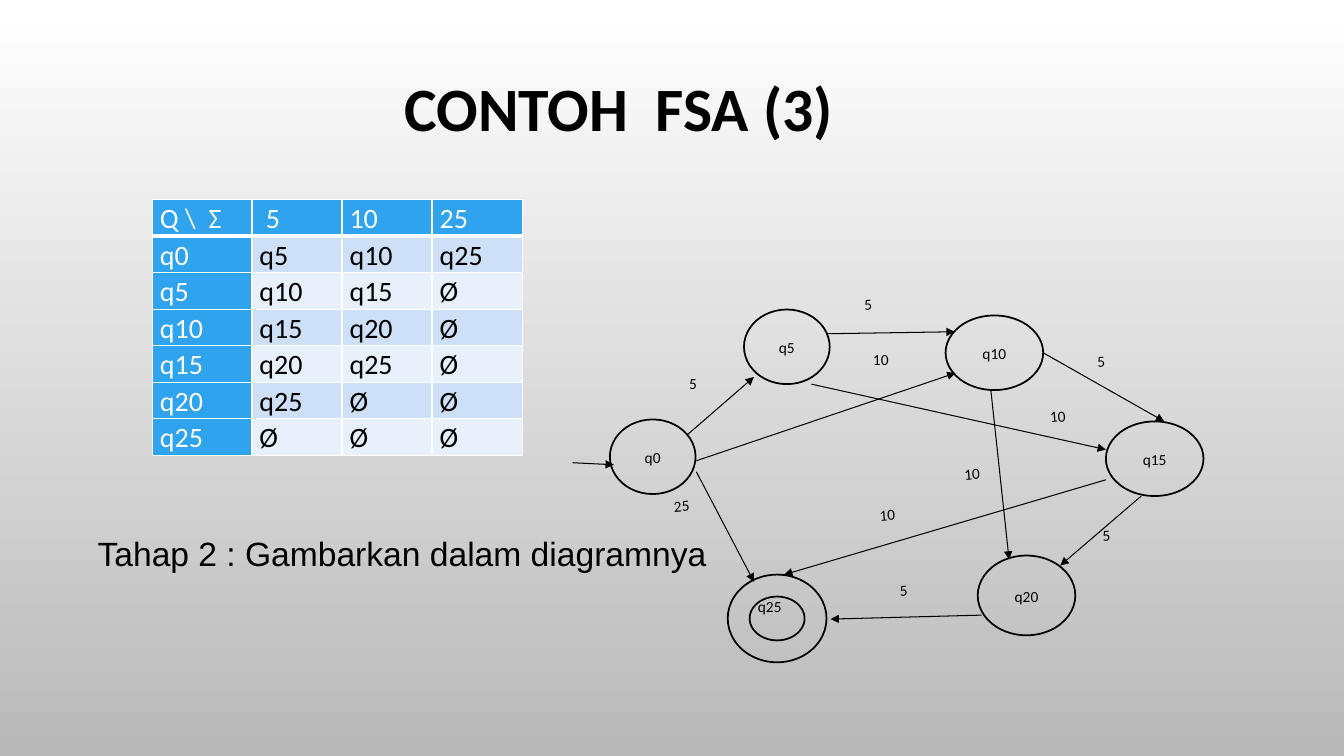
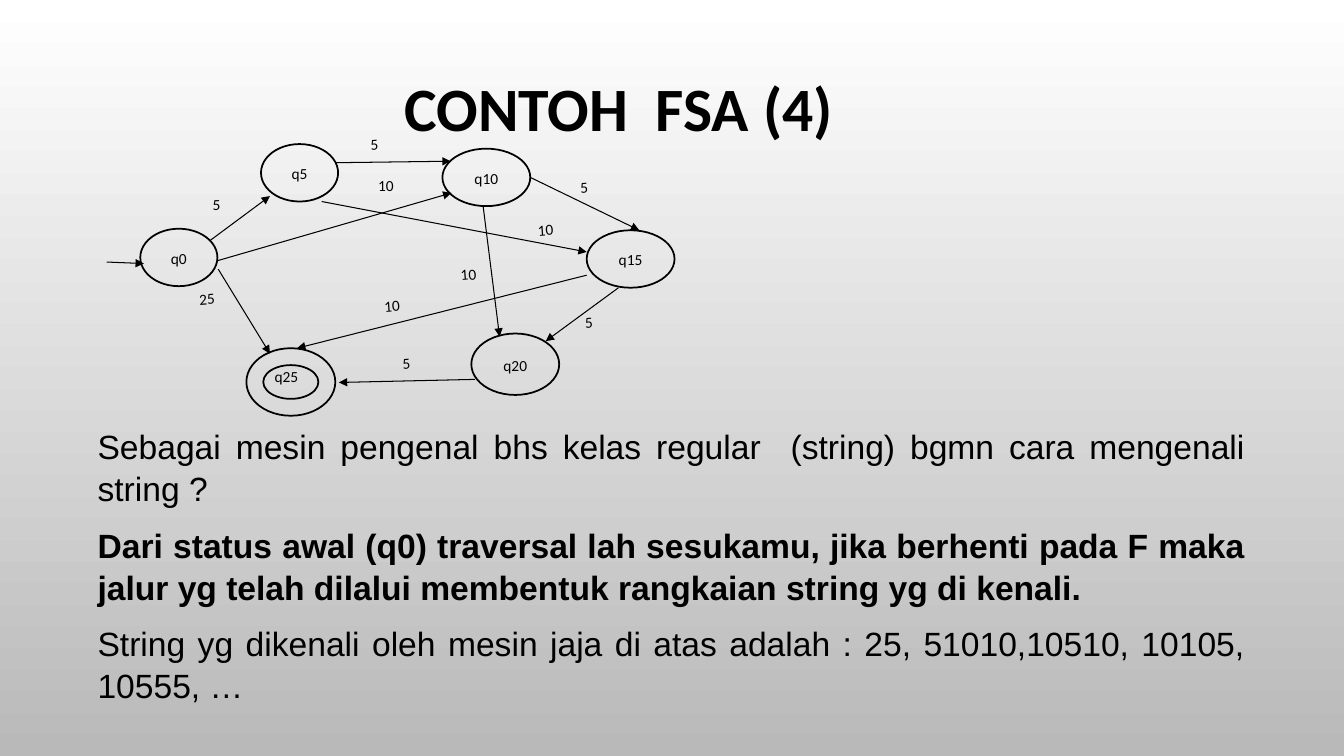
from dataclasses import dataclass

from lxml.etree import SubElement
from pptx import Presentation
from pptx.dml.color import RGBColor
from pptx.enum.shapes import MSO_CONNECTOR, MSO_SHAPE
from pptx.enum.text import MSO_ANCHOR, PP_ALIGN
from pptx.oxml.ns import qn
from pptx.util import Cm, Pt

BLACK = RGBColor(0x00, 0x00, 0x00)
WHITE = RGBColor(0xFF, 0xFF, 0xFF)
GREY = RGBColor(0xB9, 0xB9, 0xB9)
BLUE = RGBColor(0x2F, 0xA3, 0xEE)
BANDS = (RGBColor(0xE8, 0xF0, 0xFC), RGBColor(0xCD, 0xE0, 0xF8))

TITLE_FONT = {"name": "Calibri", "size": Pt(44), "bold": True}
TITLE_PARAGRAPH = {"alignment": PP_ALIGN.CENTER, "line_spacing": 0.9}
BODY_FONT = {"name": "Arial", "size": Pt(24), "bold": False}
BODY_PARAGRAPH = {"alignment": PP_ALIGN.JUSTIFY, "space_before": Pt(10)}
CELL_FONT = {"name": "Calibri", "size": Pt(20), "bold": False}
CELL_PARAGRAPH = {"line_spacing": 1.07}
CELL_MARGINS = {"margin_left": Cm(0.19), "margin_right": Cm(0.19),
                "margin_top": 0, "margin_bottom": 0}
LABEL_FONT = {"name": "Calibri", "size": Pt(11)}
LABEL_PARAGRAPH = {"line_spacing": 1.07, "space_after": Pt(8)}
STATE_PARAGRAPH = {**LABEL_PARAGRAPH, "alignment": PP_ALIGN.CENTER}

TRANSITIONS = [
    ["Q \\  Σ", " 5", "10", "25"],
    ["q0", "q5", "q10", "q25"],
    ["q5", "q10", "q15", "Ø"],
    ["q10", "q15", "q20", "Ø"],
    ["q15", "q20", "q25", "Ø"],
    ["q20", "q25", "Ø", "Ø"],
    ["q25", "Ø", "Ø", "Ø"],
]

# Diagram lengths are in centimetres from the diagram's top left corner.
STATES = [
    ("q0", 0.94, 3.33, 2.16, 1.88),
    ("q5", 4.32, 0.56, 2.16, 1.88),
    ("q10", 9.4, 0.71, 2.46, 1.88),
    ("q15", 13.44, 3.38, 2.46, 1.88),
    ("q20", 10.21, 6.76, 2.46, 2.01),
]
FINAL_STATE = (3.91, 7.24, 2.49, 2.21)
FINAL_LABEL = ("q25", 4.42, 7.65, 1.83, 1.4)
START_ARROW = (0, 4.42, 1.04, 4.47)
LEVEL_SIZE, TILTED_SIZE, TILT = (1.32, 1.17), (1.83, 1.09), -4.1
# Each edge: arrow start and end, symbol, label corner, label rotation.
EDGES = [
    ((2.9, 3.71, 4.57, 2.26), "5", (2.69, 2.03), 0),
    ((3.12, 4.37, 9.65, 2.16), "10", (7.32, 1.42), 0),
    ((3.12, 4.65, 4.57, 7.42), "25", (2.31, 5.08), TILT),
    ((6.4, 1.17, 9.63, 1.12), "5", (7.11, 0), TILT),
    ((6.02, 2.44, 13.44, 4.09), "10", (11.79, 2.82), TILT),
    ((11.86, 1.65, 14.91, 3.38), "5", (12.98, 1.42), TILT),
    ((10.54, 2.59, 11, 6.86), "10", (9.63, 4.27), TILT),
    ((14.33, 5.26, 12.29, 7.01), "5", (13.11, 5.82), TILT),
    ((13.44, 4.85, 5.33, 7.24), "10", (7.49, 5.31), TILT),
    ((10.31, 8.26, 6.5, 8.36), "5", (8, 7.19), TILT),
]


@dataclass
class Frame:
    """Corner of a diagram on its slide and its scale in each direction."""
    left: float
    top: float
    scale_x: float = 1
    scale_y: float = 1

    def point(self, x, y):
        """Return a diagram point as slide lengths."""
        return Cm(self.left + x * self.scale_x), Cm(self.top + y * self.scale_y)

    def box(self, x, y, width, height):
        """Return a diagram box as slide lengths."""
        return (*self.point(x, y), Cm(width * self.scale_x), Cm(height * self.scale_y))


def apply_format(target, values):
    """Set every attribute named in values on target."""
    for name, value in values.items():
        setattr(target, name, value)


def write_paragraph(paragraph, text, font, layout, color=BLACK):
    """Fill a paragraph with one formatted run."""
    run = paragraph.add_run()
    run.text = text
    apply_format(run.font, font)
    run.font.color.rgb = color
    apply_format(paragraph, layout)


def add_text(shapes, box, text, font, layout):
    """Add a wrapping text box with one paragraph and return it."""
    shape = shapes.add_textbox(*box)
    shape.text_frame.word_wrap = True
    write_paragraph(shape.text_frame.paragraphs[0], text, font, layout)
    return shape


def set_background(presentation):
    """Give all slides a vertical fade from white to grey."""
    fill = presentation.slide_master.background.fill
    fill.gradient()
    fill.gradient_angle = 270
    for stop, color in zip(fill.gradient_stops, (WHITE, GREY)):
        stop.color.rgb = color


def add_titled_slide(presentation, title):
    """Add a blank slide with the shared title style."""
    slide = presentation.slides.add_slide(presentation.slide_layouts[6])
    box = Cm(1.14), Cm(1.24), Cm(28.91), Cm(2.54)
    shape = add_text(slide.shapes, box, title, TITLE_FONT, TITLE_PARAGRAPH)
    shape.text_frame.vertical_anchor = MSO_ANCHOR.BOTTOM
    return slide


def add_body(slide, top_margin, line_spacing, items):
    """Add justified body text from (text, bold) items."""
    shape = slide.shapes.add_textbox(Cm(2.21), Cm(4.78), Cm(29.41), Cm(13.56))
    frame = shape.text_frame
    apply_format(frame, {"word_wrap": True, "margin_top": top_margin})
    for index, (text, bold) in enumerate(items):
        paragraph = frame.add_paragraph() if index else frame.paragraphs[0]
        layout = {**BODY_PARAGRAPH, "line_spacing": line_spacing}
        if index == 0:
            layout["space_before"] = Pt(0)
        write_paragraph(paragraph, text, {**BODY_FONT, "bold": bold}, layout)


def add_borders(cell, bottom_width):
    """Draw white borders round a table cell."""
    properties = cell._tc.get_or_add_tcPr()
    widths = {"a:lnL": Pt(1), "a:lnR": Pt(1), "a:lnT": Pt(1), "a:lnB": bottom_width}
    for tag, width in widths.items():
        line = SubElement(properties, qn(tag), w=str(width))
        fill = SubElement(line, qn("a:solidFill"))
        SubElement(fill, qn("a:srgbClr"), val=str(WHITE))


def add_transition_table(slide):
    """Add the state transition table with blue headings and banded rows."""
    rows, columns = len(TRANSITIONS), len(TRANSITIONS[0])
    table = slide.shapes.add_table(rows, columns, Cm(3.84), Cm(5.03),
                                   Cm(9.32), Cm(0.92 * rows)).table
    apply_format(table, {"first_row": False, "horz_banding": False})
    for index, column in enumerate(table.columns):
        column.width = Cm(2.27 if index else 2.51)
    for row, texts in enumerate(TRANSITIONS):
        for column, text in enumerate(texts):
            cell = table.cell(row, column)
            heading = row == 0 or column == 0
            apply_format(cell, CELL_MARGINS)
            add_borders(cell, Pt(1 if row else 3))
            cell.fill.solid()
            cell.fill.fore_color.rgb = BLUE if heading else BANDS[row % 2]
            write_paragraph(cell.text_frame.paragraphs[0], text, CELL_FONT,
                            CELL_PARAGRAPH, WHITE if heading else BLACK)


def add_outline(shapes, kind, box):
    """Add an unfilled preset shape with a black outline."""
    shape = shapes.add_shape(kind, *box)
    shape.shadow.inherit = False
    shape.fill.background()
    shape.line.color.rgb = BLACK
    shape.line.width = Pt(1.25)
    return shape


def add_state(shapes, name, box):
    """Add a state as an ellipse with its name in the middle."""
    shape = add_outline(shapes, MSO_SHAPE.OVAL, box)
    shape.text_frame.vertical_anchor = MSO_ANCHOR.MIDDLE
    write_paragraph(shape.text_frame.paragraphs[0], name, LABEL_FONT, STATE_PARAGRAPH)


def add_arrow(shapes, start, end):
    """Add a thin black arrow."""
    arrow = shapes.add_connector(MSO_CONNECTOR.STRAIGHT, *start, *end)
    arrow.line.color.rgb = BLACK
    arrow.line.width = Pt(0.75)
    SubElement(arrow.line._get_or_add_ln(), qn("a:tailEnd"), type="triangle")
    SubElement(arrow._element.spPr, qn("a:effectLst"))


def add_diagram(slide, frame):
    """Add the state diagram as a group placed by frame."""
    shapes = slide.shapes.add_group_shape().shapes
    for name, *box in STATES:
        add_state(shapes, name, frame.box(*box))
    add_outline(shapes, MSO_SHAPE.DONUT, frame.box(*FINAL_STATE))
    name, *box = FINAL_LABEL
    add_text(shapes, frame.box(*box), name, LABEL_FONT, LABEL_PARAGRAPH)
    for ends in [START_ARROW] + [edge[0] for edge in EDGES]:
        add_arrow(shapes, frame.point(*ends[:2]), frame.point(*ends[2:]))
    for _, symbol, corner, rotation in EDGES:
        size = TILTED_SIZE if rotation else LEVEL_SIZE
        label = add_text(shapes, frame.box(*corner, *size), symbol,
                         LABEL_FONT, LABEL_PARAGRAPH)
        label.rotation = rotation


def main():
    """Build and save the two slides."""
    presentation = Presentation()
    apply_format(presentation, {"slide_width": Cm(33.87), "slide_height": Cm(19.05)})
    set_background(presentation)

    slide = add_titled_slide(presentation, "CONTOH  FSA (3)")
    add_body(slide, Cm(8.66), 1.0, [("Tahap 2 : Gambarkan dalam diagramnya", False)])
    add_transition_table(slide)
    add_diagram(slide, Frame(14.43, 7.24))

    slide = add_titled_slide(presentation, "CONTOH  FSA (4)")
    add_body(slide, Cm(5.9), 1.05, [
        ("Sebagai mesin pengenal bhs kelas regular  (string) bgmn cara "
         "mengenali string ?", False),
        ("Dari status awal (q0) traversal lah sesukamu, jika berhenti pada F maka "
         "jalur yg telah dilalui membentuk rangkaian string yg di kenali.", True),
        ("String yg dikenali oleh mesin jaja di atas adalah : 25, 51010,10510, "
         "10105, 10555, …", False),
    ])
    add_diagram(slide, Frame(2.69, 3.2, 0.9, 0.77))

    presentation.save("out.pptx")


main()
